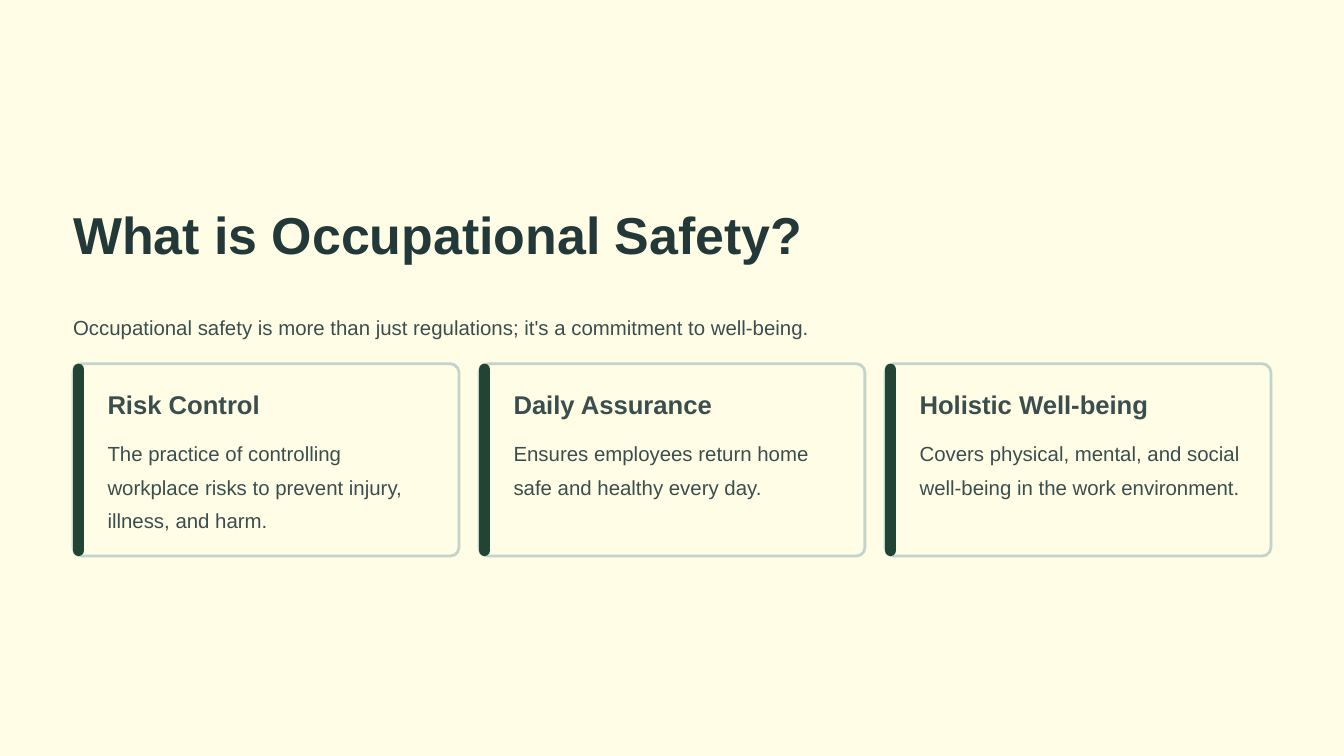
"""Build the slide that defines occupational safety with three cards."""
import pptx
import pptx.dml.color
import pptx.enum.shapes
import pptx.util

WIDTH, HEIGHT = 16, 9
MARGIN = 0.87
CONTENT = WIDTH - 2 * MARGIN
CARDS = [
    ("Risk Control",
     "The practice of controlling workplace risks to prevent injury, illness, and harm."),
    ("Daily Assurance",
     "Ensures employees return home safe and healthy every day."),
    ("Holistic Well-being",
     "Covers physical, mental, and social well-being in the work environment."),
]
GAP = 0.24
CARD_W = (CONTENT - GAP * (len(CARDS) - 1)) / len(CARDS)
CARD_TOP, CARD_H = 4.33, 2.29
BAR_W, INDENT = 0.13, 0.41
CREAM, INK, SLATE = "FFFDE6", "233939", "3B4E4E"
GREEN, SAGE = "224435", "C3D4CC"


def color(value):
    """Return the colour for a hex string."""
    return pptx.dml.color.RGBColor.from_string(value)


def inches(*lengths):
    """Return the lengths converted from inches."""
    return [pptx.util.Inches(length) for length in lengths]


def add_text(s, box, text, size, spacing, ink=SLATE, bold=False):
    """Add a text box without insets and with exact line spacing."""
    tf = s.shapes.add_textbox(*inches(*box)).text_frame
    tf.word_wrap = True
    tf.margin_left = tf.margin_top = tf.margin_right = tf.margin_bottom = 0
    tf.text = text
    p = tf.paragraphs[0]
    p.line_spacing = pptx.util.Pt(spacing)
    font = p.runs[0].font
    font.name, font.size, font.bold = "Arial", pptx.util.Pt(size), bold
    font.color.rgb = color(ink)


def add_panel(s, box, radius, fill, line=None):
    """Add a rounded rectangle with an optional outline."""
    sp = s.shapes.add_shape(pptx.enum.shapes.MSO_SHAPE.ROUNDED_RECTANGLE, *inches(*box))
    sp.shadow.inherit = False
    sp.adjustments[0] = radius
    sp.fill.solid()
    sp.fill.fore_color.rgb = color(fill)
    if line:
        sp.line.color.rgb = color(line)
        sp.line.width = pptx.util.Pt(2.4)
    else:
        sp.line.fill.background()


def add_card(s, column, heading, body):
    """Add a card with an accent bar, a heading and a body in a grid column."""
    left = MARGIN + column * (CARD_W + GAP)
    text_left, text_w = left + INDENT, CARD_W - 0.7
    add_panel(s, (left, CARD_TOP, CARD_W, CARD_H), 0.045, CREAM, SAGE)
    add_panel(s, (left, CARD_TOP, BAR_W, CARD_H), 0.5, GREEN)
    add_text(s, (text_left, CARD_TOP + 0.28, text_w, 0.39), heading, 22, 27.5, bold=True)
    add_text(s, (text_left, CARD_TOP + 0.82, text_w, 1.19), body, 17.5, 28.5)


def main():
    """Create the presentation and save it."""
    prs = pptx.Presentation()
    prs.slide_width, prs.slide_height = inches(WIDTH, HEIGHT)
    s = prs.slides.add_slide(prs.slide_layouts[6])
    s.background.fill.solid()
    s.background.fill.fore_color.rgb = color(CREAM)
    add_text(s, (MARGIN, 2.38, CONTENT, 0.78), "What is Occupational Safety?",
             44.5, 55.5, INK, True)
    add_text(s, (MARGIN, 3.65, CONTENT, 0.4),
             "Occupational safety is more than just regulations; it's a commitment to well-being.",
             17.5, 28.5)
    for column, (heading, body) in enumerate(CARDS):
        add_card(s, column, heading, body)
    prs.save("out.pptx")


if __name__ == "__main__":
    main()
